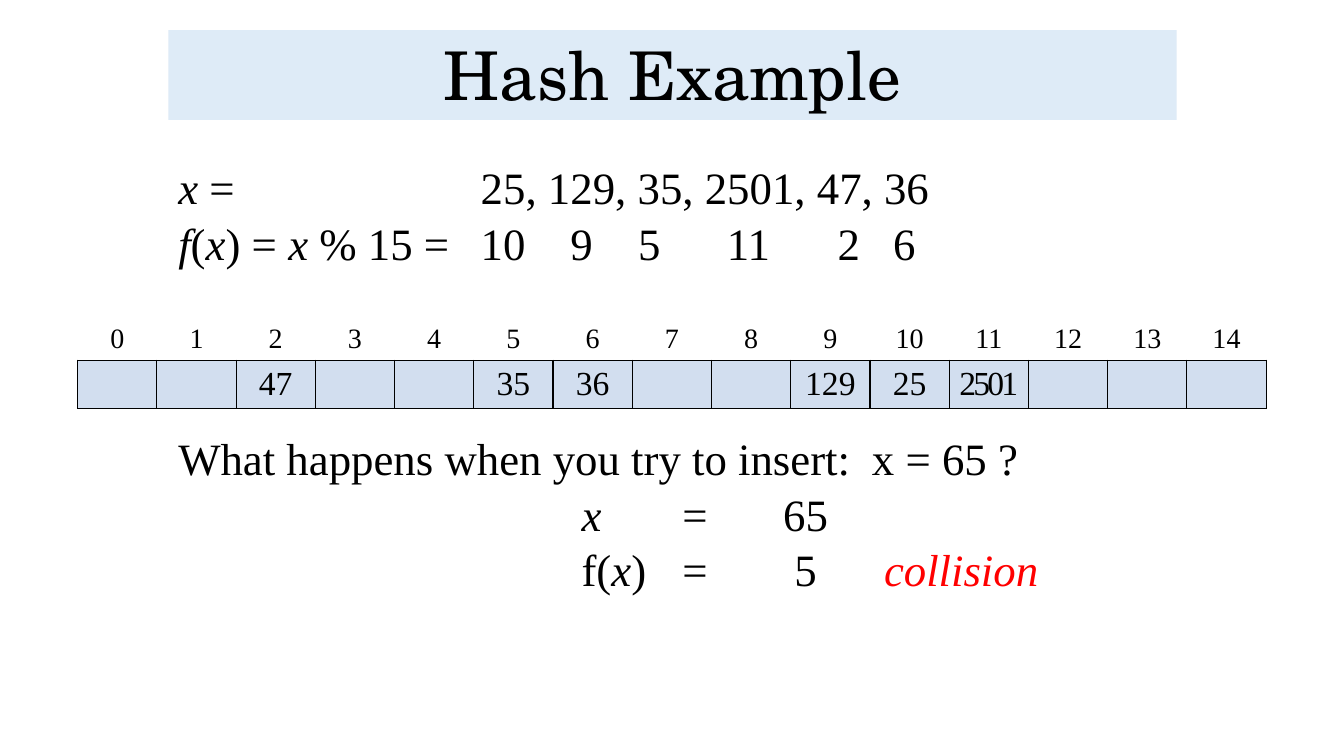
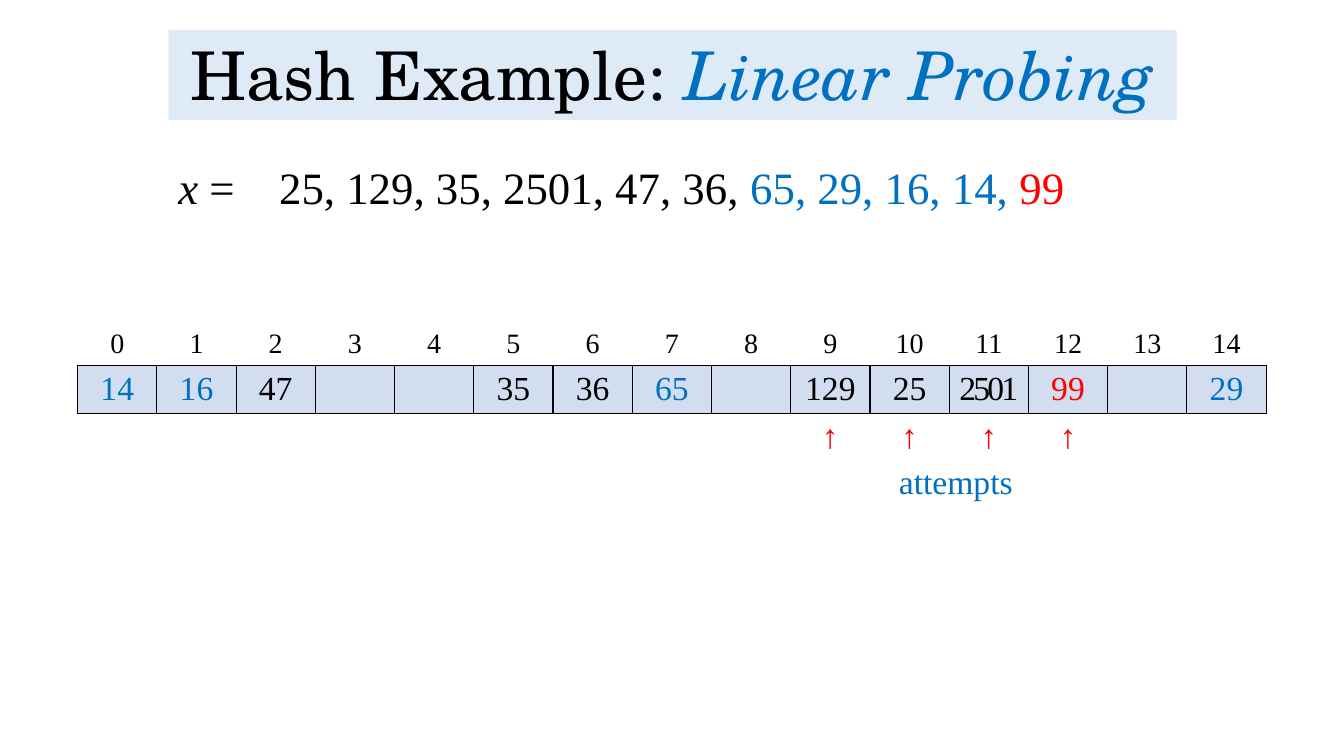
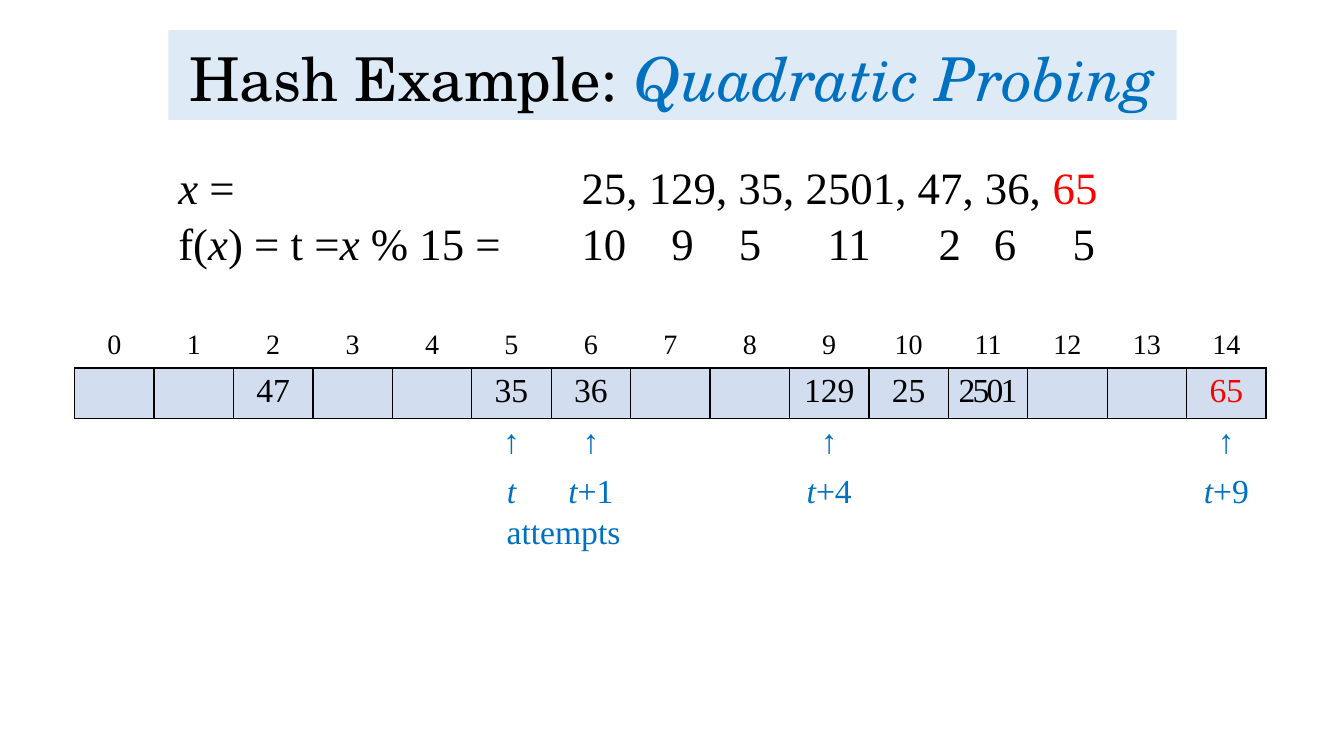
from typing import NamedTuple

from lxml.etree import SubElement
from pptx import Presentation
from pptx.dml.color import RGBColor
from pptx.enum.shapes import MSO_SHAPE as Preset
from pptx.enum.text import MSO_ANCHOR as Anchor, PP_ALIGN as Align
from pptx.oxml.ns import qn
from pptx.util import Inches, Pt

BLACK = RGBColor(0x00, 0x00, 0x00)
BLUE = RGBColor(0x00, 0x70, 0xC0)
RED = RGBColor(0xFF, 0x00, 0x00)
TITLE_BAND = RGBColor(0xDE, 0xEB, 0xF7)
SLOT_FILL = RGBColor(0xD2, 0xDE, 0xEF)

TITLE_FONT = "TeX Gyre Schola"
BODY_FONT = "Times New Roman"
PLAIN_TABLE = "{2D5ABB26-0587-4C30-8999-92F81FD0307C}"

SLOTS = 15
TITLE_BOX = (1.67, 0.3, 10, 0.89)
BODY_BOX = (1.67, 1.6, 10, 4.82)
HASH_OFFSETS = (0, 0.89, 1.56, 2.44, 3.54, 4.09, 4.87)


class Span(NamedTuple):
    text: str
    color: RGBColor = BLACK
    italic: bool = False
    spacing: int = 0


class Line(NamedTuple):
    spans: list
    stops: tuple = ()
    before: float = 5


X = Span("x", italic=True)
FIRST_KEYS = "25, 129, 35, 2501, 47, 36"
FIRST_HASHES = "10\t9\t5\t11\t2\t6"
STORED = {
    2: [Span("47")],
    5: [Span("35")],
    6: [Span("36")],
    9: [Span("129")],
    10: [Span("25")],
    11: [Span("2501", spacing=-200)],
}


def write(paragraph, spans, size, font=BODY_FONT):
    for span in spans:
        run = paragraph.add_run()
        run.text = span.text
        run.font.name = font
        run.font.size = Pt(size)
        run.font.italic = span.italic
        run.font.color.rgb = span.color
        if span.spacing:
            run._r.get_or_add_rPr().set("spc", str(span.spacing))


def set_tab_stops(paragraph, stops):
    tab_list = SubElement(paragraph._p.get_or_add_pPr(), qn("a:tabLst"))
    for stop in stops:
        SubElement(tab_list, qn("a:tab"), pos=str(Inches(stop)), algn="l")


def hash_stops(start, count):
    return tuple(start + offset for offset in HASH_OFFSETS[:count])


def add_title(slide, spans, size=48, box=TITLE_BOX):
    band = slide.shapes.add_shape(Preset.RECTANGLE, *map(Inches, box))
    band.shadow.inherit = False
    band.fill.solid()
    band.fill.fore_color.rgb = TITLE_BAND
    band.line.fill.background()
    frame = band.text_frame
    frame.word_wrap = True
    frame.vertical_anchor = Anchor.BOTTOM
    heading = frame.paragraphs[0]
    heading.alignment = Align.CENTER
    heading.line_spacing = 0.9
    write(heading, spans, size, TITLE_FONT)


def add_body(slide, lines, box=BODY_BOX):
    frame = slide.shapes.add_textbox(*map(Inches, box)).text_frame
    frame.word_wrap = True
    for number, line in enumerate(lines):
        paragraph = frame.add_paragraph() if number else frame.paragraphs[0]
        paragraph.line_spacing = 0.9
        paragraph.space_before = Pt(line.before)
        set_tab_stops(paragraph, line.stops)
        write(paragraph, line.spans, 32)


def add_attempts(slide, left, top):
    box = map(Inches, (left, top, 1.82, 0.5))
    frame = slide.shapes.add_textbox(*box).text_frame
    frame.word_wrap = True
    label = frame.paragraphs[0]
    label.alignment = Align.CENTER
    write(label, [Span("attempts", BLUE)], 24)


def style_slot(cell):
    properties = cell._tc.get_or_add_tcPr()
    for side in ("lnL", "lnR", "lnT", "lnB"):
        border = SubElement(properties, qn(f"a:{side}"), w=str(Pt(1)))
        fill = SubElement(border, qn("a:solidFill"))
        SubElement(fill, qn("a:srgbClr"), val=str(BLACK))
    cell.fill.solid()
    cell.fill.fore_color.rgb = SLOT_FILL


def add_hash_table(slide, box, row_heights, stored, *marks):
    indices = {slot: [Span(str(slot))] for slot in range(SLOTS)}
    rows = (indices, stored, *marks)
    left, top, width = box
    table_box = map(Inches, (left, top, width, sum(row_heights)))
    frame = slide.shapes.add_table(len(rows), SLOTS, *table_box)
    table = frame.table
    table.first_row = table.horz_banding = False
    table._tbl.tblPr.find(qn("a:tableStyleId")).text = PLAIN_TABLE
    for column in table.columns:
        column.width = Inches(width / SLOTS)
    for number, (height, entries) in enumerate(zip(row_heights, rows)):
        table.rows[number].height = Inches(height)
        for slot in range(SLOTS):
            cell = table.cell(number, slot)
            cell.margin_top = Inches(0.05)
            cell.margin_bottom = Inches(0.03)
            if entries is stored:
                style_slot(cell)
            paragraph = cell.text_frame.paragraphs[0]
            paragraph.alignment = Align.CENTER
            write(paragraph, entries.get(slot, []), 20 if entries is indices else 24)


def arrows(slots, color):
    return {slot: [Span("↑", color)] for slot in slots}


def collision_slide(slide):
    add_title(slide, [Span("Hash Example")])
    add_body(slide, [
        Line([X, Span(f" =\t{FIRST_KEYS}")], (3,)),
        Line([Span("f", italic=True), Span("("), X, Span(") = "), X,
              Span(f" % 15 =\t{FIRST_HASHES}")], hash_stops(3, 6)),
        Line([Span("What happens when you try to insert:\tx = 65 ?")],
             (6.88,), before=119.4),
        Line([Span("\t"), X, Span("\t=\t65")], (4, 5, 6)),
        Line([Span("\tf("), X, Span(")\t=\t5\t"),
              Span("collision", RED, True)], (4, 5, 6.11, 7)),
    ])
    add_hash_table(slide, (0.77, 3.16, 11.79), (0.41, 0.47), STORED)


def linear_slide(slide):
    add_title(slide, [Span("Hash Example: "), Span("Linear Probing", BLUE, True)])
    add_body(slide, [
        Line([X, Span(f" =\t{FIRST_KEYS}, "), Span("65, 29, 16, 14, ", BLUE),
              Span("99", RED)], (1,)),
    ])
    probed = {0: "14", 1: "16", 7: "65", 14: "29"}
    stored = STORED | {slot: [Span(key, BLUE)] for slot, key in probed.items()}
    stored[12] = [Span("99", RED)]
    add_hash_table(slide, (0.77, 3.21, 11.79), (0.41, 0.47, 0.5),
                   stored, arrows(range(9, 13), RED))
    add_attempts(slide, 8.57, 4.52)


def quadratic_slide(slide):
    add_title(slide, [Span("Hash Example: "),
                      Span("Quadratic Probing", BLUE, True)], 43.2)
    add_body(slide, [
        Line([X, Span(f" =\t{FIRST_KEYS}, "), Span("65", RED)], (4,)),
        Line([Span("f("), X, Span(") = t ="), X,
              Span(f" % 15 =\t{FIRST_HASHES}\t5")], hash_stops(4, 7)),
    ])
    t = Span("t", BLUE, True)
    steps = {5: [t]}
    for step in (1, 4, 9):
        steps[5 + step] = [t, Span(f"+{step}", BLUE)]
    add_hash_table(slide, (0.74, 3.22, 11.82), (0.43, 0.5, 0.5, 0.5),
                   STORED | {14: [Span("65", RED)]}, arrows(steps, BLUE), steps)
    add_attempts(slide, 4.68, 5.02)


deck = Presentation()
deck.slide_width = Inches(13.33)
deck.slide_height = Inches(7.5)
for build in (collision_slide, linear_slide, quadratic_slide):
    build(deck.slides.add_slide(deck.slide_layouts[6]))
deck.save("out.pptx")
